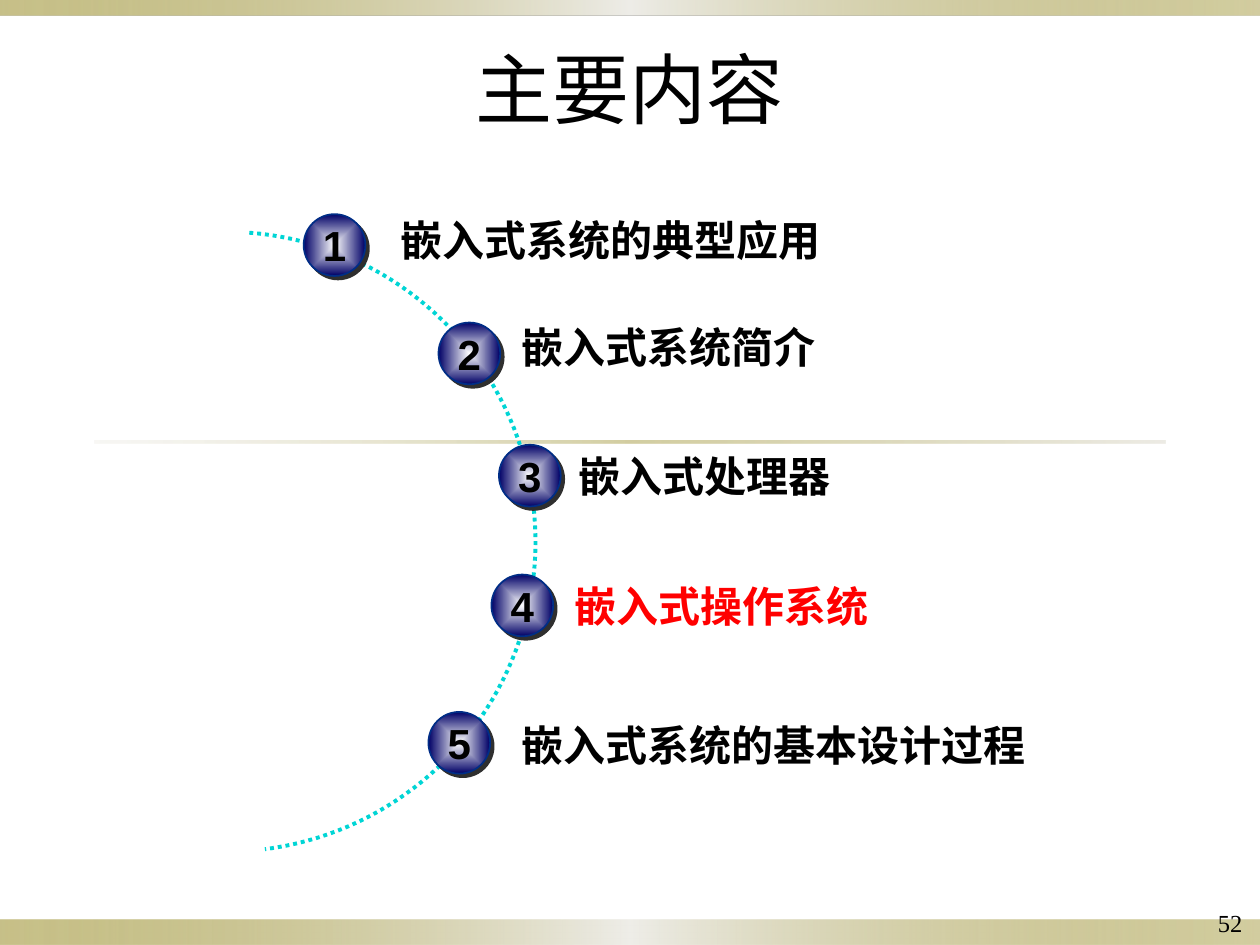
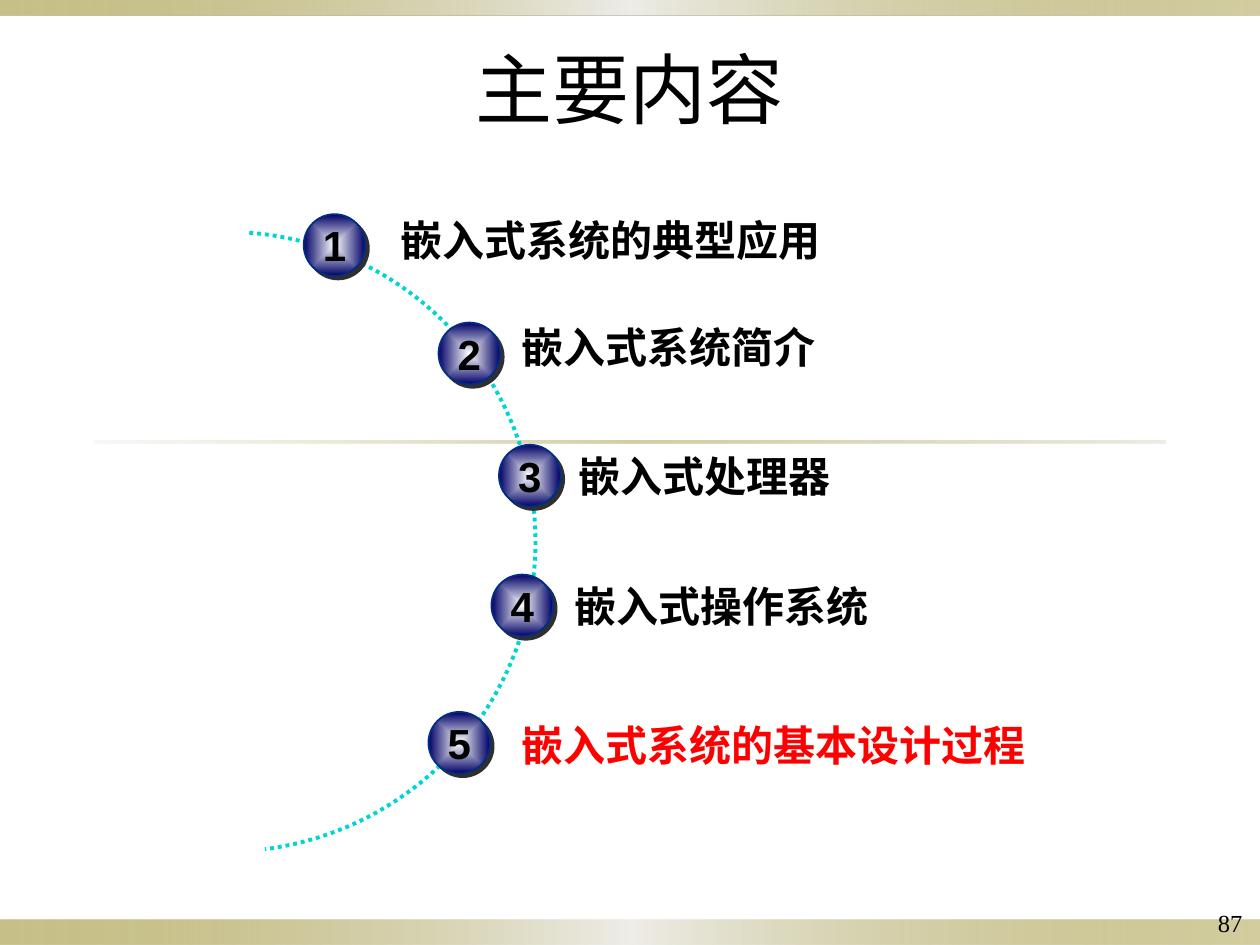
"""Builds two agenda slides, each with a different topic highlighted."""
import math

import pptx
import pptx.util
import pptx.oxml
import pptx.oxml.ns
from pptx.dml.color import RGBColor
from pptx.enum.dml import MSO_LINE
from pptx.enum.shapes import MSO_SHAPE
from pptx.enum.text import MSO_ANCHOR, PP_ALIGN
from pptx.util import Inches, Pt

COLORS = {"olive": "918415", "pale": "EEEDE8", "sand": "DCD9CC", "ink": "000000",
          "number": "010000", "active": "FF0000", "arc": "00D5D5", "white": "FFFFFF",
          "navy": "000066", "ring": "002D86", "shadow": "2F2F2F"}
SERIF, SANS, CJK = "Times New Roman", "Arial", "Noto Sans CJK SC"
BAND = [(0, "olive", 50), (50, "pale", 100), (100, "olive", 40)]
RULE = [(0, "sand", 20), (50, "olive", 40), (100, "sand", 50)]
BALL = [(0, "white", 100), (100, "navy", 100)]
LINEAR = '<a:lin ang="0" scaled="1"/>'
RADIAL = '<a:path path="shape"><a:fillToRect l="50000" t="50000" r="50000" b="50000"/></a:path>'
BALL_SIZE = 0.49
TOPICS = [("嵌入式系统的典型应用", (2.41, 1.7), (3.09, 1.7, 5.88)),
          ("嵌入式系统简介", (3.48, 2.56), (4.05, 2.55, 5.69)),
          ("嵌入式处理器", (3.96, 3.53), (4.5, 3.57, 5.69)),
          ("嵌入式操作系统", (3.9, 4.56), (4.47, 4.6, 5.09)),
          ("嵌入式系统的基本设计过程", (3.4, 5.65), (4.05, 5.71, 5.09))]


def rgb(name):
    """Return a palette colour."""
    return RGBColor.from_string(COLORS[name])


def element(xml):
    """Parse a drawing element, adding the namespace to its tag."""
    tag, rest = xml.split(">", 1)
    return pptx.oxml.parse_xml(f"{tag} {pptx.oxml.ns.nsdecls('a')}>{rest}")


class Deck:
    """Holds the presentation, its style and the current slide."""

    def __init__(self):
        """Start an empty 10 by 7.5 inch presentation."""
        self.prs = pptx.Presentation()
        self.prs.slide_width, self.prs.slide_height = Inches(10), Inches(7.5)

    def new_slide(self, title, number):
        """Add a slide with bands, rule, page number and title."""
        self.s = self.prs.slides.add_slide(self.prs.slide_layouts[6])
        self.bar(0, 7.3, 10, 0.2, BAND)
        self.bar(0, 0, 10, 0.12, BAND)
        self.bar(0.75, 3.5, 8.5, 0.02, RULE)
        self.text(9.2, 7.16, 0.76, 0.34, str(number), 14, SERIF, "number",
                  align=PP_ALIGN.RIGHT, inset=0.1)
        self.text(0.58, 0.36, 8.83, 0.79, title, 44, SERIF, "ink",
                  align=PP_ALIGN.CENTER, spacing=0.9)

    def shape(self, kind, x, y, w, h, stops, direction):
        """Add a gradient-filled preset shape without a line."""
        sp = self.s.shapes.add_shape(kind, Inches(x), Inches(y), Inches(w), Inches(h))
        sp.shadow.inherit = False
        sp.line.fill.background()
        sp.fill.background()
        gs = "".join(f'<a:gs pos="{pos * 1000}"><a:srgbClr val="{COLORS[name]}">'
                     f'<a:alpha val="{alpha * 1000}"/></a:srgbClr></a:gs>'
                     for pos, name, alpha in stops)
        pr = sp._element.spPr
        pr.replace(pr.find(pptx.oxml.ns.qn("a:noFill")),
                   element(f"<a:gradFill><a:gsLst>{gs}</a:gsLst>{direction}</a:gradFill>"))
        return sp

    def bar(self, x, y, w, h, stops):
        """Add a horizontal gradient bar."""
        self.shape(MSO_SHAPE.RECTANGLE, x, y, w, h, stops, LINEAR)

    def run(self, p, text, size, font, color, bold):
        """Add a styled run to a paragraph."""
        r = p.add_run()
        r.text = text
        r.font.size, r.font.name, r.font.bold = Pt(size), font, bold
        r.font.color.rgb = rgb(color)
        r.font._element.find(pptx.oxml.ns.qn("a:latin")).addnext(
            element(f'<a:ea typeface="{CJK}"></a:ea>'))

    def text(self, x, y, w, h, text, size, font, color, bold=False,
             align=PP_ALIGN.LEFT, inset=0.09, spacing=1.0):
        """Add a one-line text box."""
        sp = self.s.shapes.add_textbox(Inches(x), Inches(y), Inches(w), Inches(h))
        tf = sp.text_frame
        tf.word_wrap = True
        tf.margin_left = tf.margin_right = Inches(inset)
        tf.margin_top = tf.margin_bottom = Inches(0.05)
        p = tf.paragraphs[0]
        p.alignment, p.line_spacing = align, spacing
        self.run(p, text, size, font, color, bold)

    def arc(self, cx, cy, radius, start, end, steps=84):
        """Add a dotted circular arc between two angles in degrees."""
        angles = [math.radians(start + (end - start) * i / steps) for i in range(steps + 1)]
        points = [(Inches(cx + radius * math.cos(a)), Inches(cy + radius * math.sin(a)))
                  for a in angles]
        builder = self.s.shapes.build_freeform(*points[0])
        builder.add_line_segments(points[1:], close=False)
        sp = builder.convert_to_shape()
        sp.shadow.inherit = False
        sp.fill.background()
        sp.line.color.rgb, sp.line.width = rgb("arc"), Pt(2.25)
        sp.line.dash_style = MSO_LINE.ROUND_DOT

    def ball(self, x, y, number):
        """Add a numbered ball with a hard shadow."""
        sp = self.shape(MSO_SHAPE.OVAL, x, y, BALL_SIZE, BALL_SIZE, BALL, RADIAL)
        sp.line.color.rgb, sp.line.width = rgb("ring"), Pt(1)
        sp._element.spPr.find(pptx.oxml.ns.qn("a:effectLst")).append(element(
            f'<a:outerShdw blurRad="0" dist="{Pt(2.8)}" dir="2700000" algn="ctr" rotWithShape="0">'
            f'<a:srgbClr val="{COLORS["shadow"]}"/></a:outerShdw>'))
        tf = sp.text_frame
        tf.word_wrap, tf.vertical_anchor = False, MSO_ANCHOR.MIDDLE
        tf.margin_left = tf.margin_right = tf.margin_top = tf.margin_bottom = 0
        p = tf.paragraphs[0]
        p.alignment = PP_ALIGN.CENTER
        self.run(p, str(number), 24, SANS, "ink", True)

    def agenda(self, number, active):
        """Add an agenda slide with one topic highlighted."""
        self.new_slide("主要内容", number)
        self.arc(1.79, 4.3, 2.46, -85.6, 82.7)
        for i, (topic, (bx, by), (x, y, w)) in enumerate(TOPICS, 1):
            self.ball(bx, by, i)
            self.text(x, y, w, BALL_SIZE, topic, 24, CJK,
                      "active" if i == active else "ink", bold=True, spacing=0.9)


def main():
    """Build and save the deck."""
    deck = Deck()
    deck.agenda(52, active=4)
    deck.agenda(87, active=5)
    deck.prs.save("out.pptx")


if __name__ == "__main__":
    main()
